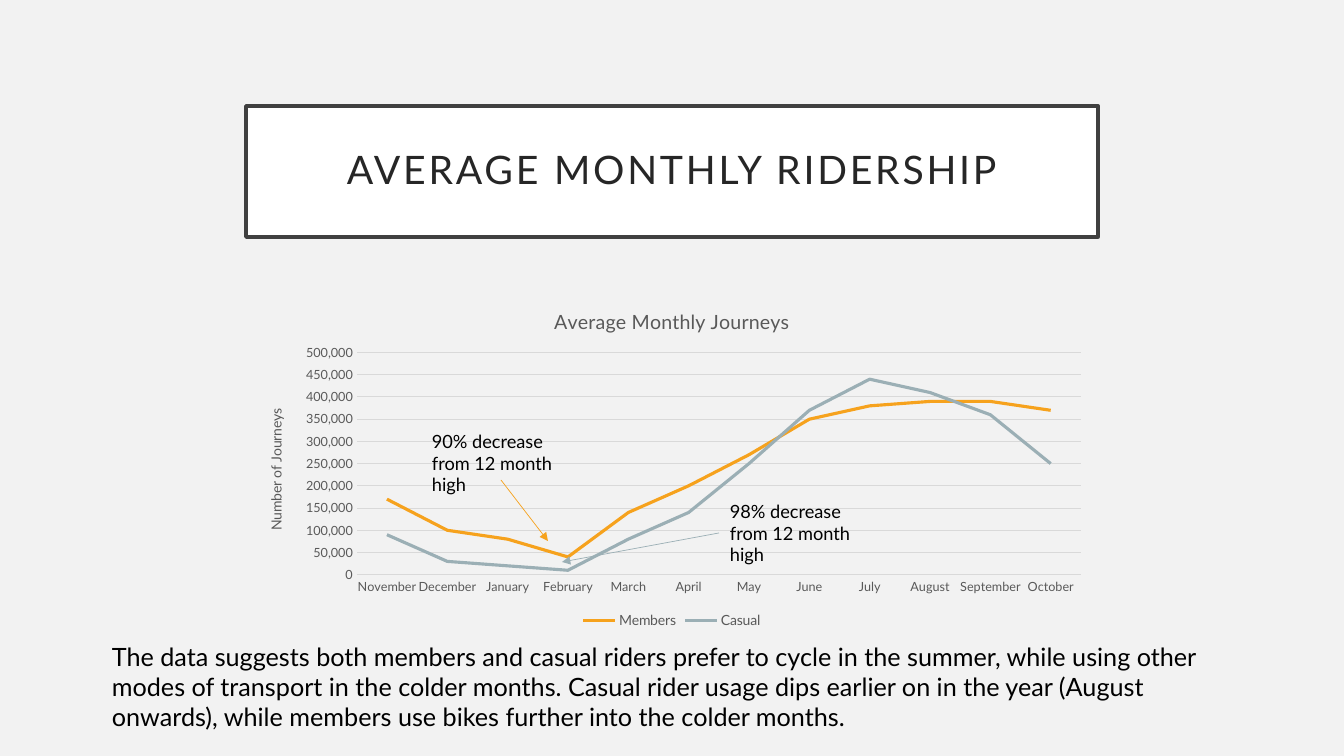
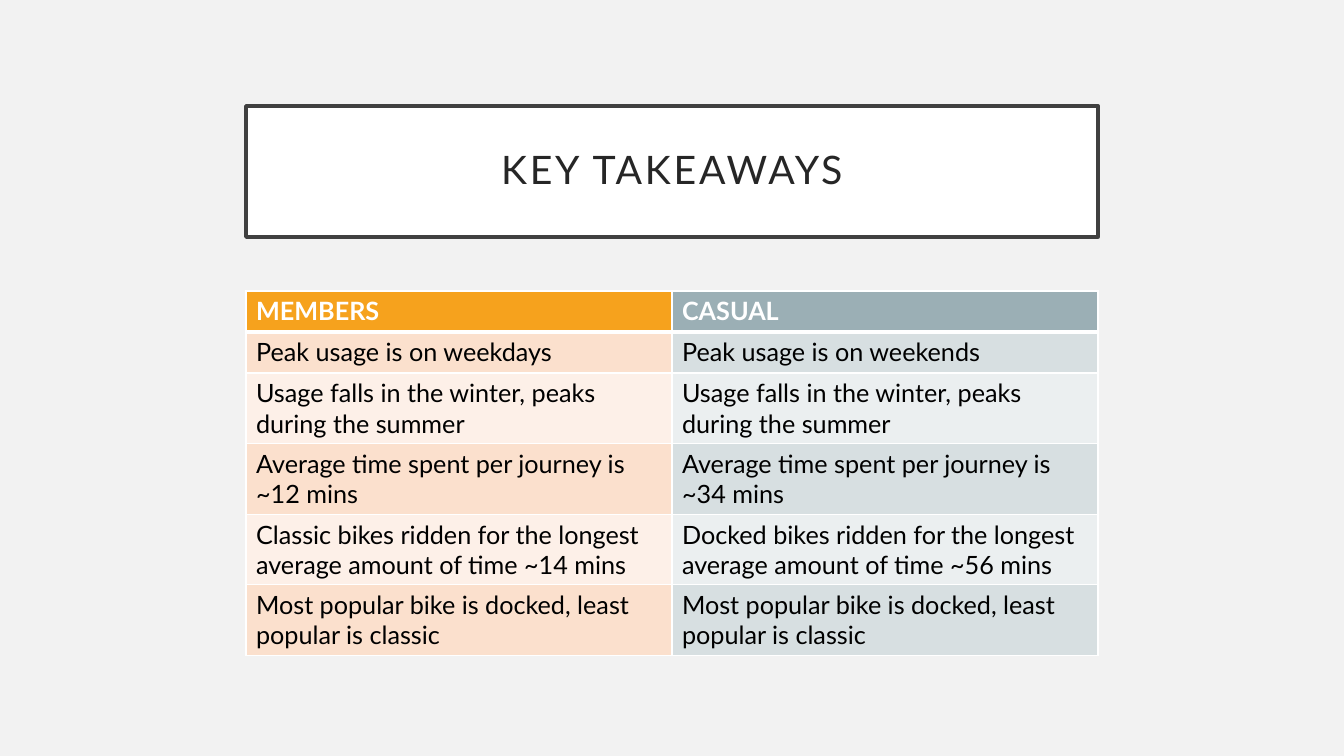
import lxml.etree
import pptx
import pptx.chart.data
import pptx.dml.color
import pptx.enum.chart
import pptx.enum.shapes
import pptx.enum.text
import pptx.oxml.ns
import pptx.util

PX = 914400 / 100.8
FONT = "Lato"
COLOURS = {
    "background": "F2F2F2", "white": "FFFFFF", "black": "000000",
    "frame": "404040", "title": "262626", "axis": "595959", "grid": "D9D9D9",
    "members": "F6A21D", "casual": "9BAFB5",
    "members_dark": "FBE0CD", "members_light": "FDF0E8",
    "casual_dark": "D7DFE1", "casual_light": "EBEFF0",
}
TITLE_BOX = (246, 106, 852, 131)
CONTENT_LEFT, CONTENT_TOP, CONTENT_WIDTH = 246, 291, 852
MONTHS = ["November", "December", "January", "February", "March", "April",
          "May", "June", "July", "August", "September", "October"]
JOURNEYS = {
    "Members": (170000, 100000, 80000, 40000, 140000, 200000,
                270000, 350000, 380000, 390000, 390000, 370000),
    "Casual": (90000, 30000, 20000, 10000, 80000, 140000,
               250000, 370000, 440000, 410000, 360000, 250000),
}
SUMMARY = ("The data suggests both members and casual riders prefer to cycle in the "
           "summer, while using other modes of transport in the colder months. Casual "
           "rider usage dips earlier on in the year (August onwards), while members "
           "use bikes further into the colder months.")
TAKEAWAYS = [
    ("MEMBERS", "CASUAL"),
    ("Peak usage is on weekdays", "Peak usage is on weekends"),
    ("Usage falls in the winter, peaks during the summer",) * 2,
    ("Average time spent per journey is ~12 mins",
     "Average time spent per journey is ~34 mins"),
    ("Classic bikes ridden for the longest average amount of time ~14 mins",
     "Docked bikes ridden for the longest average amount of time ~56 mins"),
    ("Most popular bike is docked, least popular is classic",) * 2,
]


def px(*values):
    """Turn pixel lengths into a list of EMU."""
    return [pptx.util.Emu(round(v * PX)) for v in values]


def rgb(name):
    """Look up a named colour."""
    return pptx.dml.color.RGBColor.from_string(COLOURS[name])


def set_all(obj, **values):
    """Set each attribute of an object from the given values."""
    for name, value in values.items():
        setattr(obj, name, value)


def set_font(font, size, colour, bold=False):
    """Give a font its face, size, weight and colour."""
    set_all(font, name=FONT, size=pptx.util.Pt(size), bold=bold)
    font.color.rgb = rgb(colour)


def set_fill(fill, colour):
    """Make a fill solid in a named colour."""
    fill.solid()
    fill.fore_color.rgb = rgb(colour)


def set_line(line, colour, width):
    """Give a line a solid colour and a width in points."""
    set_fill(line.fill, colour)
    line.width = pptx.util.Pt(width)


def add_xml(parent, tag, **attributes):
    """Append a child element with attributes."""
    child = lxml.etree.SubElement(parent, pptx.oxml.ns.qn(tag))
    for name, value in attributes.items():
        child.set(name, str(value))
    return child


def add_titled_slide(prs, title):
    """Add a slide with the framed, letter-spaced title."""
    s = prs.slides.add_slide(prs.slide_layouts[5])
    sp = s.shapes.title
    left, top, width, height = px(*TITLE_BOX)
    set_all(sp, left=left, top=top, width=width, height=height)
    set_fill(sp.fill, "white")
    set_line(sp.line, "frame", 2.5)
    tf = sp.text_frame
    inset = pptx.util.Inches(0.2)
    set_all(tf, margin_left=inset, margin_top=inset, margin_right=inset,
            margin_bottom=inset, word_wrap=True,
            auto_size=pptx.enum.text.MSO_AUTO_SIZE.NONE,
            vertical_anchor=pptx.enum.text.MSO_ANCHOR.MIDDLE)
    p = tf.paragraphs[0]
    set_all(p, alignment=pptx.enum.text.PP_ALIGN.CENTER, line_spacing=0.9)
    r = p.add_run()
    r.text = title
    set_font(r.font, 28, "title")
    r.font._element.set("spc", "200")
    return s


def add_text(s, box, text, size):
    """Add a wrapping text box."""
    tf = s.shapes.add_textbox(*px(*box)).text_frame
    set_all(tf, word_wrap=True,
            auto_size=pptx.enum.text.MSO_AUTO_SIZE.SHAPE_TO_FIT_TEXT)
    r = tf.paragraphs[0].add_run()
    r.text = text
    set_font(r.font, size, "black")


def add_arrow(s, ends, colour):
    """Add a thin straight arrow from the first point to the second."""
    line = s.shapes.add_connector(pptx.enum.shapes.MSO_CONNECTOR.STRAIGHT, *px(*ends))
    set_line(line.line, colour, 0.5)
    add_xml(line.line._get_or_add_ln(), "a:tailEnd", type="triangle")
    add_xml(line._element.spPr, "a:effectLst")


def set_title(owner, title, size):
    """Give a chart or an axis its title."""
    owner.text_frame.text = title
    set_font(owner.text_frame.paragraphs[0].runs[0].font, size, "axis")


def place_plot(chart, **fractions):
    """Fix the inner plot area as fractions of the chart."""
    area = chart._chartSpace.chart.plotArea
    for old in area.findall(pptx.oxml.ns.qn("c:layout")):
        area.remove(old)
    layout = add_xml(area, "c:layout")
    area.insert(0, layout)
    manual = add_xml(layout, "c:manualLayout")
    add_xml(manual, "c:layoutTarget", val="inner")
    for side in "xy":
        add_xml(manual, f"c:{side}Mode", val="edge")
    for name, value in fractions.items():
        add_xml(manual, f"c:{name}", val=value)


def add_journey_chart(s):
    """Add the line chart of monthly journeys by rider type."""
    data = pptx.chart.data.CategoryChartData(number_format="#,##0")
    data.categories = MONTHS
    for name, values in JOURNEYS.items():
        data.add_series(name, values)
    box = px(CONTENT_LEFT, CONTENT_TOP, CONTENT_WIDTH, 342)
    chart = s.shapes.add_chart(pptx.enum.chart.XL_CHART_TYPE.LINE, *box, data).chart
    set_font(chart.font, 10, "black")
    set_title(chart.chart_title, "Average Monthly Journeys", 14)
    chart.chart_title.include_in_layout = False
    place_plot(chart, x=0.13, y=0.18, w=0.85, h=0.65)

    chart.has_legend = True
    set_all(chart.legend, position=pptx.enum.chart.XL_LEGEND_POSITION.BOTTOM,
            include_in_layout=False)
    set_font(chart.legend.font, 10, "axis")

    months, counts = chart.category_axis, chart.value_axis
    for axis in (months, counts):
        axis.major_tick_mark = pptx.enum.chart.XL_TICK_MARK.NONE
        set_font(axis.tick_labels.font, 9, "axis")
        axis._element.txPr.bodyPr.set("rot", "-60000000")
    set_line(months.format.line, "grid", 0.75)
    set_all(counts, minimum_scale=0, maximum_scale=500000, major_unit=50000)
    set_all(counts.tick_labels, number_format="#,##0", number_format_is_linked=False)
    counts.format.line.fill.background()
    set_line(counts.major_gridlines.format.line, "grid", 0.75)
    set_title(counts.axis_title, "Number of Journeys", 10)

    plot = chart.plots[0]
    plot.vary_by_categories = False
    for series in plot.series:
        series.smooth = False
        set_line(series.format.line, series.name.lower(), 2.25)


def set_borders(cell, **widths):
    """Draw white cell borders with widths in points, keyed by side."""
    tc_pr = cell._tc.get_or_add_tcPr()
    for side, width in widths.items():
        ln = add_xml(tc_pr, f"a:ln{side}", w=pptx.util.Pt(width))
        add_xml(add_xml(ln, "a:solidFill"), "a:srgbClr", val=COLOURS["white"])


def add_takeaway_table(s):
    """Add the two-column table, banded in each rider type's colour."""
    box = px(CONTENT_LEFT, CONTENT_TOP, CONTENT_WIDTH, 364)
    table = s.shapes.add_table(len(TAKEAWAYS), 2, *box).table
    for i, texts in enumerate(TAKEAWAYS):
        table.rows[i].height = px(41 if len(texts[0]) < 30 else 70)[0]
        shade = "" if i == 0 else "_dark" if i % 2 else "_light"
        for j, (rider, text) in enumerate(zip(("members", "casual"), texts)):
            cell = table.cell(i, j)
            set_borders(cell, L=1, R=1, T=3 if i == 1 else 1, B=3 if i == 0 else 1)
            set_fill(cell.fill, rider + shade)
            r = cell.text_frame.paragraphs[0].add_run()
            r.text = text
            set_font(r.font, 18, "black" if i else "white", bold=i == 0)


def main():
    """Build and save the two slides."""
    prs = pptx.Presentation()
    prs.slide_width, prs.slide_height = px(1344, 756)
    set_fill(prs.slide_master.background.fill, "background")

    s = add_titled_slide(prs, "AVERAGE MONTHLY RIDERSHIP")
    add_journey_chart(s)
    add_text(s, (102, 636, 1141, 102), SUMMARY, 18)
    add_arrow(s, (501, 480, 548, 541), "members")
    add_text(s, (422, 425, 166, 54), "90% decrease from 12 month high", 13)
    add_arrow(s, (719, 533, 562, 562), "casual")
    add_text(s, (720, 495, 164, 54), "98% decrease from 12 month high", 13)

    s = add_titled_slide(prs, "KEY TAKEAWAYS")
    add_takeaway_table(s)
    prs.save("out.pptx")


main()
